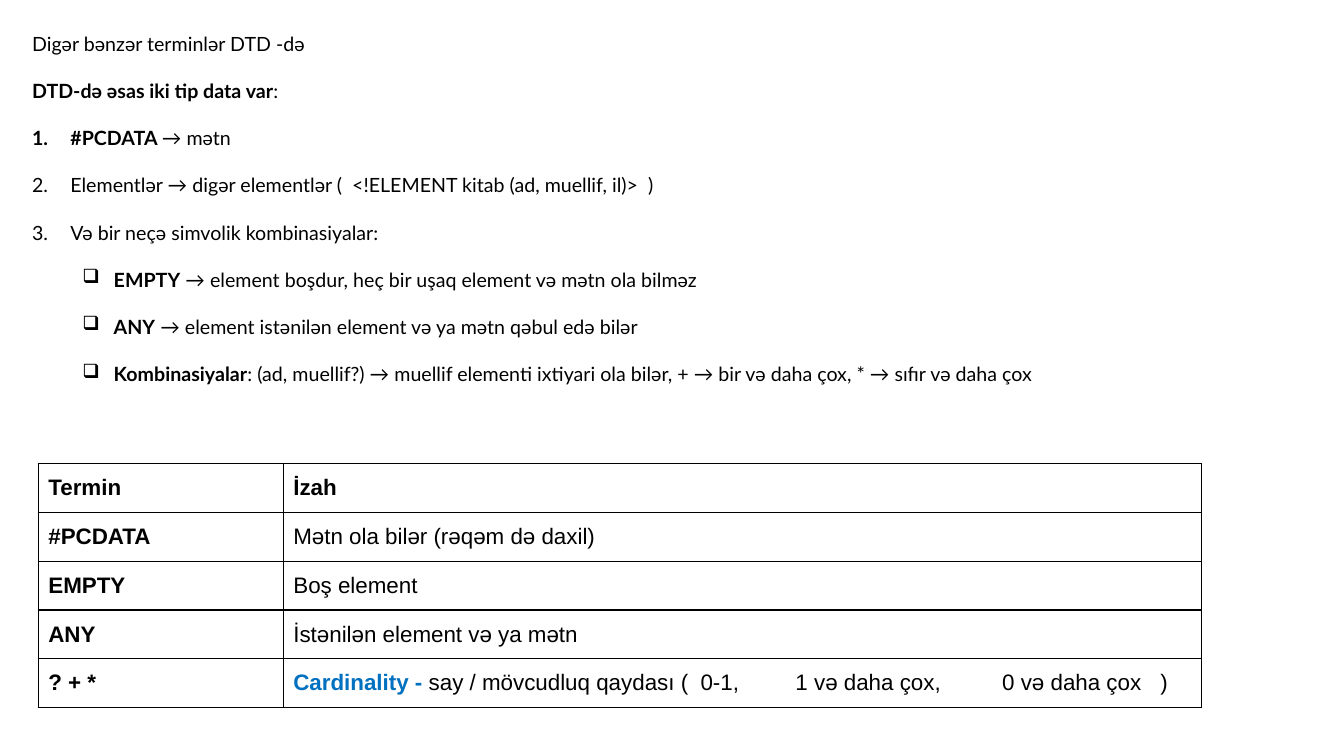
import pptx
import pptx.util
import pptx.dml.color
import pptx.enum.text
import pptx.oxml
import pptx.oxml.ns

Inches = pptx.util.Inches
Pt = pptx.util.Pt
SPACE = pptx.oxml.ns.nsdecls("a")


def paint(font, shade):
    font.color.rgb = pptx.dml.color.RGBColor.from_string(shade)


def write(par, runs, face, size):
    par.font.name = face
    par.font.size = Pt(size)
    paint(par.font, "000000")
    for text, bold, shade in runs:
        run = par.add_run()
        run.text = text
        run.font.bold = bold
        if shade:
            paint(run.font, shade)


deck = pptx.Presentation()
deck.slide_width = Inches(13.33)
deck.slide_height = Inches(7.5)
slide = deck.slides.add_slide(deck.slide_layouts[6])

number = '<a:buAutoNum %s type="arabicPeriod"/>' % SPACE
square = '<a:buChar %s char="❑"/>' % SPACE
styles = {
    "plain": (0, 0, 0, None),
    "number": (0, 0.38, -0.38, number),
    "square": (1, 0.81, -0.31, square),
}
lines = [
    ("plain", "", "Digər bənzər terminlər DTD -də"),
    ("plain", "DTD-də əsas iki tip data var", ":"),
    ("number", "#PCDATA ", "→ mətn"),
    ("number", "", "Elementlər → digər elementlər (  <!ELEMENT kitab (ad, muellif, il)>  )"),
    ("number", "", "Və bir neçə simvolik kombinasiyalar:"),
    ("square", "EMPTY", " → element boşdur, heç bir uşaq element və mətn ola bilməz"),
    ("square", "ANY", " → element istənilən element və ya mətn qəbul edə bilər"),
    ("square", "Kombinasiyalar", ": (ad, muellif?) → muellif elementi ixtiyari ola bilər, "
     "+ → bir və daha çox, * → sıfır və daha çox"),
]

box = slide.shapes.add_textbox(Inches(0.22), Inches(0.27), Inches(12.93), Inches(4.11))
frame = box.text_frame
frame.word_wrap = True
for place, (style, strong, rest) in enumerate(lines):
    par = frame.paragraphs[0] if place == 0 else frame.add_paragraph()
    level, left, indent, bullet = styles[style]
    par.level = level
    par.space_after = Pt(16.8)
    props = par._p.get_or_add_pPr()
    props.set("marL", str(Inches(left)))
    props.set("indent", str(Inches(indent)))
    if bullet:
        props.append(pptx.oxml.parse_xml(bullet))
    runs = [(strong, True, None), (rest, False, None)]
    write(par, [run for run in runs if run[0]], "Lato", 14)

rows = [
    ("Termin", [("İzah", True, None)]),
    ("#PCDATA", [("Mətn ola bilər (rəqəm də daxil)", False, None)]),
    ("EMPTY", [("Boş element", False, None)]),
    ("ANY", [("İstənilən element və ya mətn", False, None)]),
    ("? + *", [("Cardinality - ", True, "0070C0"),
               ("say / mövcudluq qaydası (  0-1,\t1 və daha çox,\t0 və daha çox\t)", False, None)]),
]
table = slide.shapes.add_table(
    len(rows), 2, Inches(0.38), Inches(4.6), Inches(11.54), Inches(2.42)).table
table.first_row = False
table.horz_banding = False
table.columns[0].width = Inches(2.43)
table.columns[1].width = Inches(9.11)

for row, (term, runs) in enumerate(rows):
    for col, parts in enumerate([[(term, True, None)], runs]):
        cell = table.cell(row, col)
        cell.vertical_anchor = pptx.enum.text.MSO_ANCHOR.MIDDLE
        props = cell._tc.get_or_add_tcPr()
        for side in "LRTB":
            props.append(pptx.oxml.parse_xml(
                '<a:ln%s %s w="12700"><a:solidFill><a:srgbClr val="000000"/>'
                '</a:solidFill></a:ln%s>' % (side, SPACE, side)))
        cell.fill.background()
        write(cell.text_frame.paragraphs[0], parts, "Arial", 16)

stops = "".join('<a:tab pos="%d" algn="l"/>' % Inches(stop) for stop in (4.98, 7.03, 8.6))
last = table.cell(len(rows) - 1, 1).text_frame.paragraphs[0]
last._p.get_or_add_pPr().insert(
    0, pptx.oxml.parse_xml("<a:tabLst %s>%s</a:tabLst>" % (SPACE, stops)))

deck.save("out.pptx")
